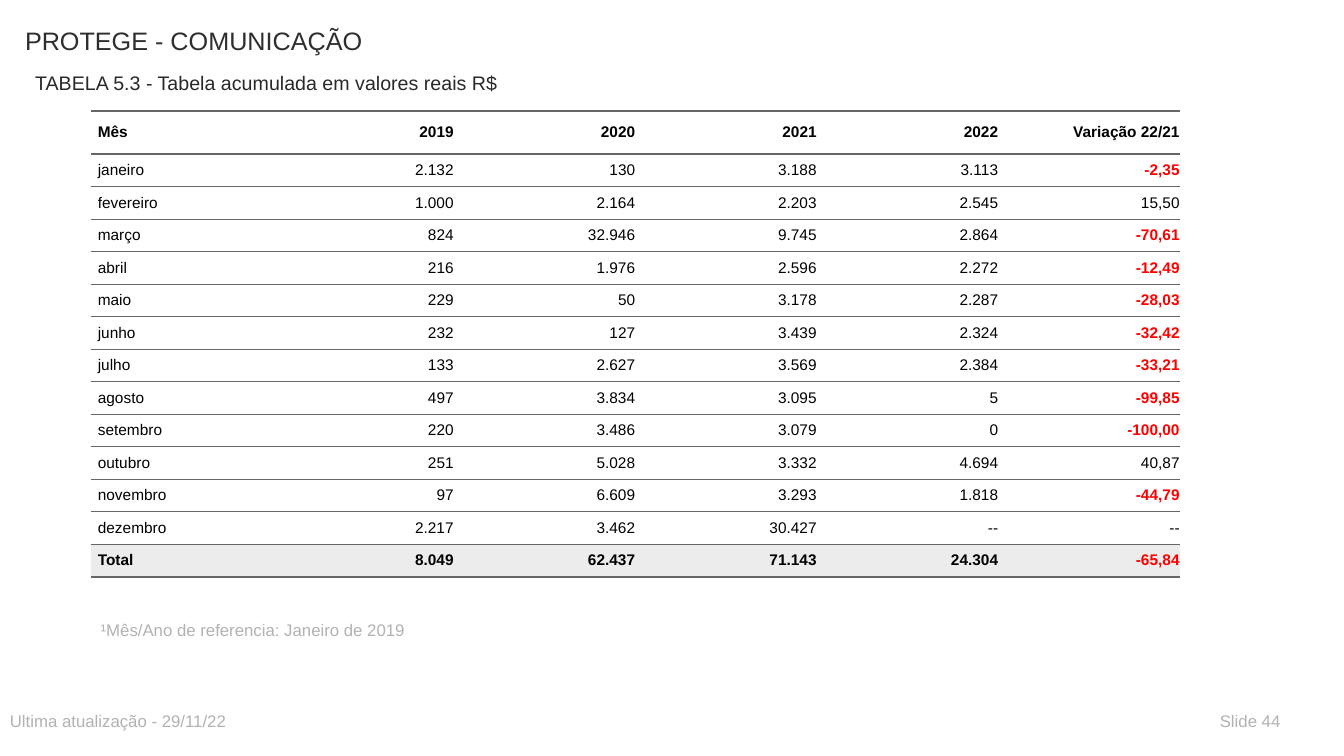
import pptx
import pptx.util
import pptx.dml.color
import pptx.enum.text
import pptx.oxml.ns
from lxml import etree
from pptx.util import Inches

THEME = {
    "font": "Arial",
    "title": ("2D2E2D", 18),
    "subtitle": ("292929", 14),
    "note": ("B2B2B2", 12),
    "cell": ("000000", 11),
    "negative": ("FF0000", 11),
    "rule": "666666",
    "thick": 2,
    "thin": 0.5,
    "plain_fill": "FFFFFF",
    "total_fill": "ECECEC",
}

ROWS = [
    ["Mês", "2019", "2020", "2021", "2022", "Variação 22/21"],
    ["janeiro", "2.132", "130", "3.188", "3.113", "-2,35"],
    ["fevereiro", "1.000", "2.164", "2.203", "2.545", "15,50"],
    ["março", "824", "32.946", "9.745", "2.864", "-70,61"],
    ["abril", "216", "1.976", "2.596", "2.272", "-12,49"],
    ["maio", "229", "50", "3.178", "2.287", "-28,03"],
    ["junho", "232", "127", "3.439", "2.324", "-32,42"],
    ["julho", "133", "2.627", "3.569", "2.384", "-33,21"],
    ["agosto", "497", "3.834", "3.095", "5", "-99,85"],
    ["setembro", "220", "3.486", "3.079", "0", "-100,00"],
    ["outubro", "251", "5.028", "3.332", "4.694", "40,87"],
    ["novembro", "97", "6.609", "3.293", "1.818", "-44,79"],
    ["dezembro", "2.217", "3.462", "30.427", "--", "--"],
    ["Total", "8.049", "62.437", "71.143", "24.304", "-65,84"],
]

TEXTS = [
    ("PROTEGE - COMUNICAÇÃO", "title", 0.15, 0.2, 8, 0.59),
    ("TABELA 5.3 - Tabela acumulada em valores reais R$", "subtitle", 0.25, 0.65, 6.5, 0.3),
    ("¹Mês/Ano de referencia: Janeiro de 2019", "note", 0.9, 6.1, 6.5, 0.3),
    ("Ultima atualização - 29/11/22", "note", 0, 7, 6.5, 0.3),
    ("Slide 44", "note", 12, 7, 0.9, 0.3),
]


def style_text(para, role, bold=False):
    color, size = THEME[role]
    for span in para.runs:
        span.font.name = THEME["font"]
        span.font.size = pptx.util.Pt(size)
        span.font.bold = bold
        span.font.color.rgb = pptx.dml.color.RGBColor.from_string(color)


def add_border(cell, side, width):
    qn = pptx.oxml.ns.qn
    properties = cell._tc.get_or_add_tcPr()
    line = etree.SubElement(properties, qn(f"a:{side}"), w=str(pptx.util.Pt(width)))
    fill = etree.SubElement(line, qn("a:solidFill"))
    etree.SubElement(fill, qn("a:srgbClr"), val=THEME["rule"])


deck = pptx.Presentation()
deck.slide_width = Inches(13.33)
deck.slide_height = Inches(7.5)
page = deck.slides.add_slide(deck.slide_layouts[6])

for text, role, left, top, width, height in TEXTS:
    box = page.shapes.add_textbox(Inches(left), Inches(top), Inches(width), Inches(height))
    box.text_frame.word_wrap = True
    box.text_frame.text = text
    style_text(box.text_frame.paragraphs[0], role)

last = len(ROWS) - 1
column_count = len(ROWS[0])
frame = page.shapes.add_table(
    len(ROWS), column_count, Inches(0.9), Inches(1.1), Inches(1.8 * column_count), Inches(3.68)
)
table = frame.table
table.horz_banding = False
table.first_row = False
style_id = table._tbl.tblPr.find(pptx.oxml.ns.qn("a:tableStyleId"))
style_id.text = "{2D5ABB26-0587-4C30-8999-92F81FD0307C}"

for column in table.columns:
    column.width = Inches(1.8)

for row_index, values in enumerate(ROWS):
    is_header = row_index == 0
    is_total = row_index == last
    table.rows[row_index].height = Inches(0.43 if is_header else 0.25)
    top_width = THEME["thick" if row_index <= 1 else "thin"]
    bottom_width = THEME["thick" if is_header or is_total else "thin"]
    fill_color = THEME["total_fill" if is_total else "plain_fill"]
    for column_index, value in enumerate(values):
        cell = table.cell(row_index, column_index)
        cell.vertical_anchor = pptx.enum.text.MSO_ANCHOR.MIDDLE
        cell.margin_left = cell.margin_right = Inches(0)
        cell.margin_top = cell.margin_bottom = pptx.util.Pt(5)
        add_border(cell, "lnT", top_width)
        add_border(cell, "lnB", bottom_width)
        cell.fill.solid()
        cell.fill.fore_color.rgb = pptx.dml.color.RGBColor.from_string(fill_color)
        cell.text_frame.text = value
        para = cell.text_frame.paragraphs[0]
        para._p.get_or_add_pPr().set("marL", str(Inches(0.07)))
        if column_index > 0:
            para.alignment = pptx.enum.text.PP_ALIGN.RIGHT
        is_negative = value.startswith("-") and value != "--"
        role = "negative" if is_negative else "cell"
        style_text(para, role, bold=is_header or is_total or is_negative)

deck.save("out.pptx")
